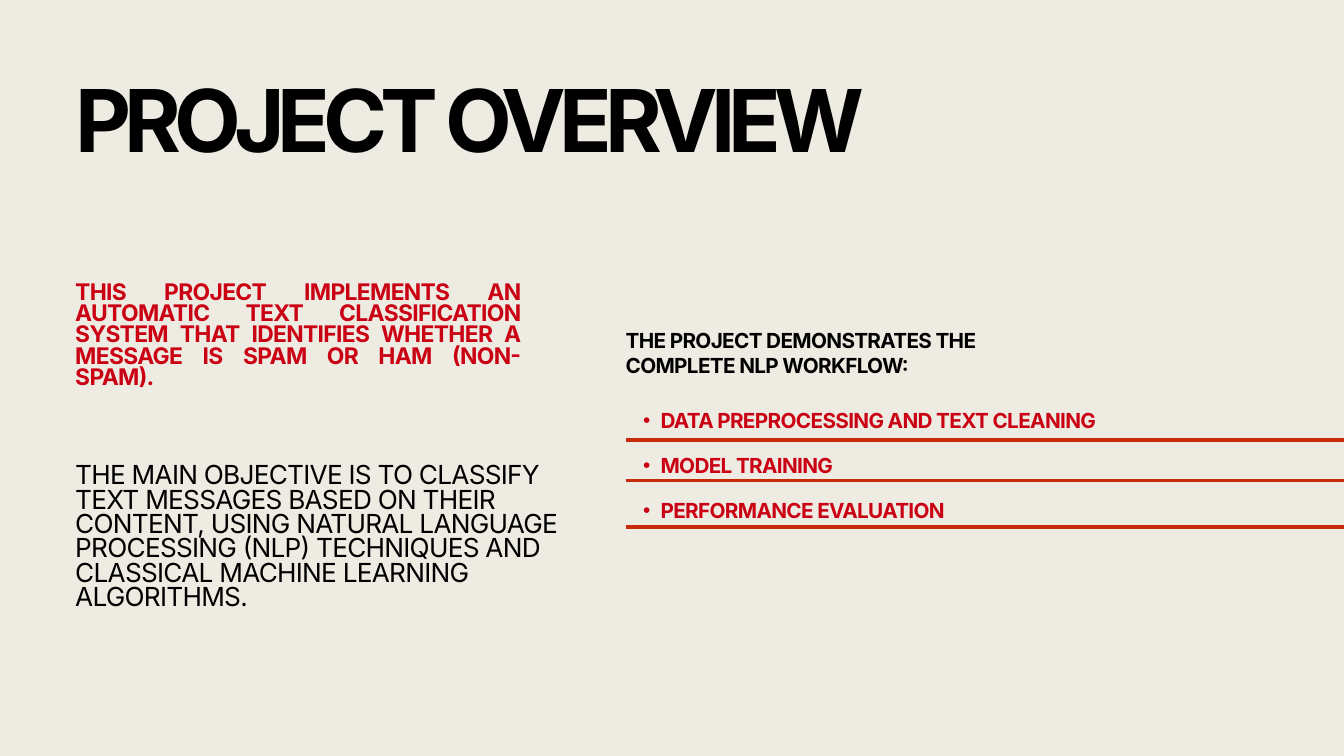
from lxml import etree
from pptx import Presentation
from pptx.dml.color import RGBColor
from pptx.enum.shapes import MSO_CONNECTOR
from pptx.enum.text import MSO_ANCHOR, MSO_AUTO_SIZE, PP_ALIGN
from pptx.oxml.ns import qn
from pptx.util import Inches, Pt

LEFT, JUSTIFY = PP_ALIGN.LEFT, PP_ALIGN.JUSTIFY
TOP, NO_FIT = MSO_ANCHOR.TOP, MSO_AUTO_SIZE.NONE
STRAIGHT = MSO_CONNECTOR.STRAIGHT
FONT = "Inter"
COLORS = {"paper": "EEEBE3", "ink": "000000", "red": "CA0013", "rule": "C72A09"}
PAGE_WIDTH, PAGE_HEIGHT = 20, 11.25


def rgb(name):
    return RGBColor.from_string(COLORS[name])


def write_text(shape, box, paragraphs, *, size, leading, color="ink",
               bold=False, tracking=-0.7, align=LEFT, bullet=False):
    """Place a text shape in box (left, top, width, height) and fill it."""
    shape.left, shape.top, shape.width, shape.height = map(Inches, box)
    frame = shape.text_frame
    frame.margin_left = frame.margin_top = 0
    frame.margin_right = frame.margin_bottom = 0
    frame.word_wrap = True
    frame.auto_size = NO_FIT
    frame.vertical_anchor = TOP
    for index, text in enumerate(paragraphs):
        para = frame.add_paragraph() if index else frame.paragraphs[0]
        para.alignment = align
        para.line_spacing = Pt(leading)
        para.space_before = para.space_after = Pt(0)
        if bullet:
            add_bullet(para)
        span = para.add_run()
        span.text = text
        font = span.font
        font.name, font.size, font.bold = FONT, Pt(size), bold
        font.color.rgb = rgb(color)
        span.font._element.set("spc", str(round(tracking * 100)))


def add_bullet(para):
    para.level = 1
    properties = para._p.get_or_add_pPr()
    properties.set("marL", str(Inches(0.52)))
    properties.set("indent", str(Inches(-0.26)))
    etree.SubElement(properties, qn("a:buFont")).set("typeface", "Arial")
    etree.SubElement(properties, qn("a:buChar")).set("char", "•")


def add_text(page, box, text, **text_format):
    shape = page.shapes.add_textbox(*map(Inches, box))
    write_text(shape, box, [text], **text_format)


def add_rule(page, left, right, top):
    rule = page.shapes.add_connector(
        STRAIGHT, Inches(left), Inches(top), Inches(right), Inches(top))
    rule.line.color.rgb = rgb("rule")
    rule.line.width = Pt(3.7)
    etree.SubElement(rule._element.spPr, qn("a:effectLst"))


def build_heading(page, box):
    write_text(page.shapes.title, box, ["PROJECT OVERVIEW"],
               size=92.8, leading=73.3, bold=True, tracking=-7.4)


def build_summary(page, box):
    """Red statement above the objective."""
    left, top, width, height = box
    add_text(page, (left, top, 6.63, 1.59),
             "THIS PROJECT IMPLEMENTS AN AUTOMATIC TEXT CLASSIFICATION SYSTEM "
             "THAT IDENTIFIES WHETHER A MESSAGE IS SPAM OR HAM (NON-SPAM).",
             size=24.5, leading=22.8, color="red", bold=True, align=JUSTIFY)
    add_text(page, (left, top + height - 2.17, width, 2.17),
             "THE MAIN OBJECTIVE IS TO CLASSIFY TEXT MESSAGES BASED ON THEIR "
             "CONTENT, USING NATURAL LANGUAGE PROCESSING (NLP) TECHNIQUES AND "
             "CLASSICAL MACHINE LEARNING ALGORITHMS.",
             size=28.1, leading=26.1, tracking=-0.8)


def build_workflow(page, box):
    """Introduction, ruled lines to the page edge, and bulleted steps."""
    left, top, width, height = box
    add_text(page, (left, top, 6.45, 0.73),
             "THE PROJECT DEMONSTRATES THE COMPLETE NLP WORKFLOW:",
             size=22.2, leading=26.8, bold=True)
    for offset in (1.67, 2.27, 2.96):
        add_rule(page, left, left + width, top + offset)
    steps = ["DATA PREPROCESSING AND TEXT CLEANING", "MODEL TRAINING",
             "PERFORMANCE EVALUATION"]
    write_text(page.placeholders[1], (left, top + 0.9, 8.28, 1.89), steps,
               size=22.2, leading=47.9, color="red", bold=True, bullet=True)


def main():
    deck = Presentation()
    deck.slide_width, deck.slide_height = Inches(PAGE_WIDTH), Inches(PAGE_HEIGHT)
    page = deck.slides.add_slide(deck.slide_layouts[1])
    page.background.fill.solid()
    page.background.fill.fore_color.rgb = rgb("paper")

    build_heading(page, (1.12, 1.51, 13.23, 1.16))
    build_summary(page, (1.12, 4.22, 7.24, 4.88))
    build_workflow(page, (9.31, 4.88, PAGE_WIDTH - 9.31, 2.96))
    deck.save("out.pptx")


if __name__ == "__main__":
    main()
